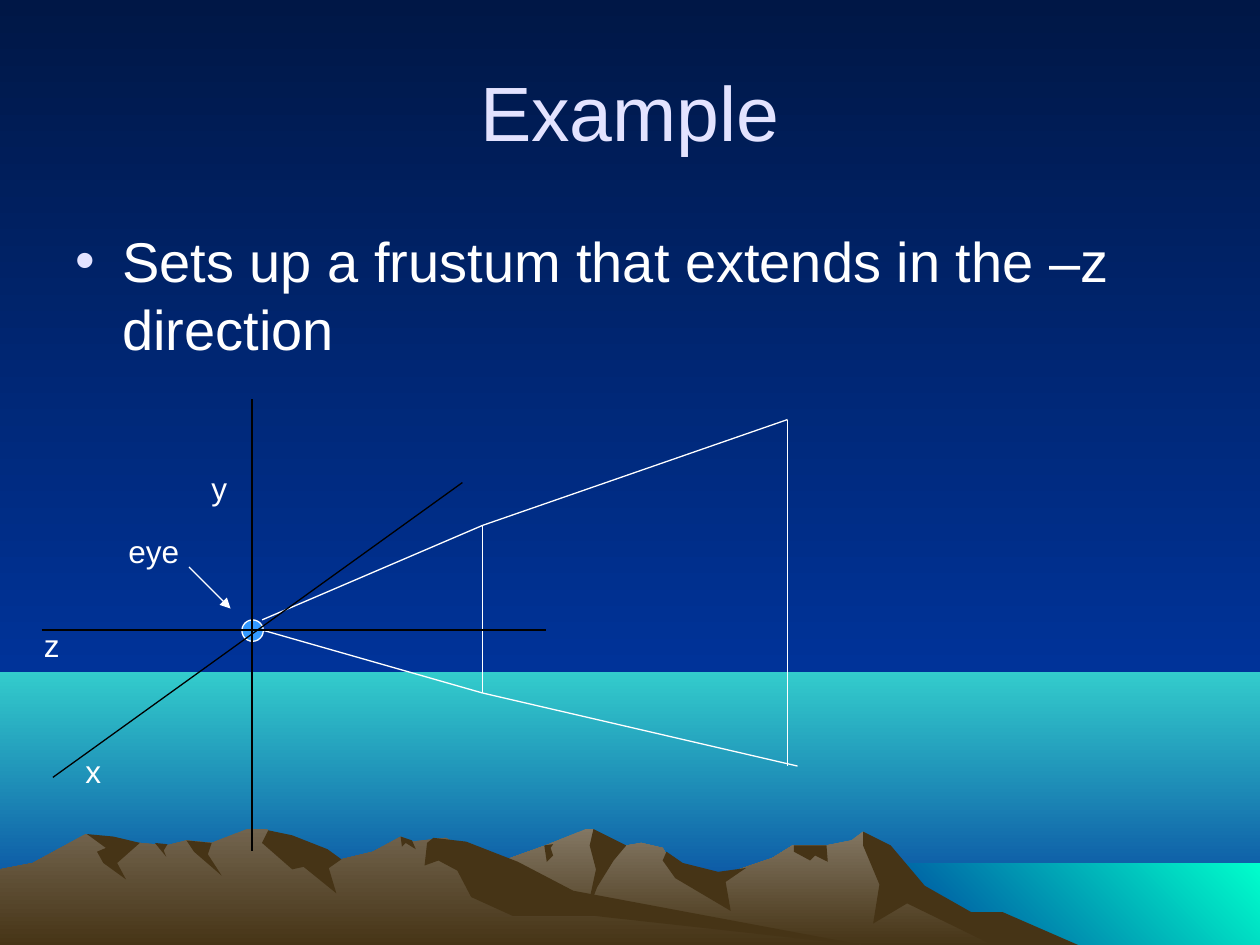
from lxml.etree import SubElement
from pptx import Presentation
from pptx.dml.color import RGBColor
from pptx.enum.shapes import MSO_CONNECTOR, MSO_SHAPE
from pptx.enum.text import MSO_ANCHOR as Anchor, MSO_AUTO_SIZE as AutoSize, PP_ALIGN as Align
from pptx.oxml.ns import qn
from pptx.util import Cm, Pt

GRID = Cm(0.0254)  # all coordinates below count in this step
WIDTH, HEIGHT = 1000, 750
HORIZON, GROUND = 533, 751
DOWNWARD, FROM_TOP_RIGHT = 270, 225  # gradient angles
THIN = Pt(0.75)

NIGHT = RGBColor(0x00, 0x17, 0x46)
BLUE = RGBColor(0x00, 0x33, 0x99)
SEA = RGBColor(0x33, 0xCC, 0xCC)
LAGOON = RGBColor(0x00, 0xFF, 0xCC)
ROCK_FAR = RGBColor(0x83, 0x77, 0x63)
ROCK_NEAR = RGBColor(0x72, 0x64, 0x4E)
SHADE = RGBColor(0x46, 0x34, 0x16)
LAVENDER = RGBColor(0xE3, 0xE3, 0xFF)
EYE_BLUE = RGBColor(0x33, 0x99, 0xFF)
WHITE = RGBColor(0xFF, 0xFF, 0xFF)
BLACK = RGBColor(0x00, 0x00, 0x00)


def paint(fill, colors, angle=DOWNWARD):
    """One colour fills solid; two make a gradient."""
    if len(colors) == 1:
        fill.solid()
        fill.fore_color.rgb = colors[0]
        return
    fill.gradient()
    fill.gradient_angle = angle
    for stop, color in zip(fill.gradient_stops, colors):
        stop.color.rgb = color


def write(frame, text, size, color, paragraph_format):
    frame.word_wrap = True
    frame.text = text
    paragraph = frame.paragraphs[0]
    font = paragraph.runs[0].font
    font.color.rgb = color
    for target, values in [(paragraph, paragraph_format),
                           (font, {"name": "Arial", "size": Pt(size)})]:
        for name, value in values.items():
            setattr(target, name, value)
    return paragraph


presentation = Presentation()
presentation.slide_width, presentation.slide_height = GRID * WIDTH, GRID * HEIGHT
slide = presentation.slides.add_slide(presentation.slide_layouts[1])
shapes = slide.shapes
paint(slide.background.fill, [NIGHT, BLUE])

# Bands of sea, sky and lagoon: left, top and bottom; each reaches the right edge
bands = [
    (0, HORIZON, HEIGHT, [SEA, BLUE], DOWNWARD),
    (0, 0, HORIZON, [NIGHT, BLUE], DOWNWARD),
    (683, 685, 752, [LAGOON, BLUE], FROM_TOP_RIGHT),
]
landscape = []
for left, top, bottom, colors, angle in bands:
    corners = [(left, top), (WIDTH, top), (WIDTH, bottom), (left, bottom)]
    landscape.append((corners, colors, angle))

# A ridge is a skyline from left to right that stands on the ground.
# Each peak casts one shadow, which starts at its top.
far_skyline = [(327, 709), (394, 685), (433, 671), (465, 658), (471, 658), (486, 673),
               (509, 669), (526, 673), (536, 690), (566, 697), (613, 681), (629, 671),
               (656, 671), (676, 667), (685, 660), (702, 671), (723, 698), (764, 723)]
far_shadows = {
    "right peak": [(685, 660), (707, 671), (734, 703), (771, 724), (796, 724), (858, 751),
                   (792, 752), (720, 717), (693, 733), (698, 702), (685, 671)],
    "middle peak": [(471, 658), (497, 671), (487, 683), (474, 704), (465, 727),
                    (473, 690), (468, 671)],
    "saddle": [(529, 676), (542, 685), (570, 692), (592, 689), (576, 700), (580, 723),
               (536, 697), (526, 683)],
    "right notch": [(630, 671), (656, 671), (657, 684), (647, 679), (643, 683), (630, 676)],
    "left notch": [(432, 671), (439, 670), (437, 673), (439, 679), (434, 684)],
}
near_skyline = [(0, 690), (26, 685), (68, 662), (94, 671), (111, 669), (132, 671),
                (148, 667), (168, 669), (196, 658), (212, 658), (236, 681), (271, 682),
                (296, 676), (318, 664), (327, 668), (354, 665), (432, 712), (667, 748)]
near_shadows = {
    "main peak": [(213, 659), (232, 663), (260, 674), (271, 682), (261, 689), (267, 709),
                  (241, 688), (232, 690), (208, 669)],
    "long slope": [(344, 665), (370, 668), (411, 684), (455, 707), (690, 751), (472, 727),
                   (407, 727), (374, 712), (363, 691), (348, 683), (337, 687), (339, 669)],
    "right notch": [(318, 664), (327, 667), (330, 674), (322, 669), (319, 672)],
    "middle notch": [(148, 667), (168, 669), (165, 678), (176, 695), (154, 676)],
    "small notch": [(123, 669), (133, 670), (130, 675), (132, 680)],
    "left peak": [(69, 662), (90, 664), (111, 669), (93, 685), (100, 698), (82, 685),
                  (77, 676), (84, 673)],
}
ridges = [(far_skyline, 258, 821, ROCK_FAR, far_shadows),
          (near_skyline, 0, 690, ROCK_NEAR, near_shadows)]
for skyline, left, right, rock, shadows in ridges:
    outline = [(left, GROUND), *skyline, (right, GROUND)]
    landscape.append((outline, [rock, SHADE], DOWNWARD))
    landscape += [(shadow, [SHADE], None) for shadow in shadows.values()]

for outline, colors, angle in landscape:
    builder = shapes.build_freeform(*outline[0], scale=GRID)
    builder.add_line_segments(outline[1:], close=True)
    shape = builder.convert_to_shape()
    shape.shadow.inherit = False
    shape.line.fill.background()
    paint(shape.fill, colors, angle)

# Title and list, moved in front of the landscape
title, body = shapes.title, slide.placeholders[1]
for placeholder, top, height in [(title, 25, 125), (body, 175, 492)]:
    shapes._spTree.append(placeholder._element)
    placeholder.left, placeholder.top = GRID * 50, GRID * top
    placeholder.width, placeholder.height = GRID * 900, GRID * height
    placeholder.text_frame.auto_size = AutoSize.NONE
title.text_frame.vertical_anchor = Anchor.MIDDLE
write(title.text_frame, "Example", 44, LAVENDER, {"alignment": Align.CENTER})
paragraph = write(body.text_frame, "Sets up a frustum that extends in the –z direction",
                  32, WHITE, {"space_before": Pt(8)})
properties = paragraph._p.get_or_add_pPr()
properties.set("marL", str(GRID * 37))
properties.set("indent", str(GRID * -37))
bullet_color = SubElement(properties, qn("a:buClr"))
SubElement(bullet_color, qn("a:srgbClr"), val=str(LAVENDER))
SubElement(properties, qn("a:buChar"), char="•")

# The eye sits at the origin of the axes
origin_x, origin_y = 200, 500
eye_size, eye_radius = 17, 8
eye = shapes.add_shape(MSO_SHAPE.OVAL, GRID * (origin_x - eye_radius),
                       GRID * (origin_y - eye_radius), GRID * eye_size, GRID * eye_size)
eye.shadow.inherit = False
paint(eye.fill, [EYE_BLUE])
eye.line.color.rgb = WHITE
eye.line.width = THIN

# Rays run from the eye through the near plane to the far plane
eye_right = origin_x + eye_radius
upper_start, lower_start = (eye_right, origin_y - eye_radius), (eye_right, origin_y)
near_top, near_bottom = (383, 417), (383, 550)
far_top, far_bottom = (625, 333), (625, 608)
lower_ray_end = (633, 608)
frustum = [
    (upper_start, near_top), (lower_start, near_bottom), (near_top, near_bottom),
    (near_top, far_top), (near_bottom, lower_ray_end), (far_top, far_bottom),
]
y_axis = ((origin_x, 317), (origin_x, 675))
z_axis = ((33, origin_y), (433, origin_y))
x_axis = ((42, 617), (367, 383))
eye_pointer = ((150, 450), (183, 483))
for color, lines in [(WHITE, frustum), (BLACK, [y_axis, z_axis, x_axis]), (WHITE, [eye_pointer])]:
    for start, end in lines:
        connector = shapes.add_connector(MSO_CONNECTOR.STRAIGHT,
                                         *[GRID * value for value in start + end])
        connector.line.color.rgb = color
        connector.line.width = THIN
        SubElement(connector._element.spPr, qn("a:effectLst"))
# The pointer is the last line drawn
SubElement(connector.line._get_or_add_ln(), qn("a:tailEnd"), type="triangle")

labels = [("x", 58, 592, 42), ("y", 158, 367, 25), ("z", 25, 492, 42), ("eye", 92, 417, 67)]
for text, left, top, width in labels:
    box = shapes.add_textbox(GRID * left, GRID * top, GRID * width, GRID * 40)
    write(box.text_frame, text, 18, WHITE, {"space_before": Pt(11.2)})
    box.text_frame.auto_size = AutoSize.SHAPE_TO_FIT_TEXT

presentation.save("out.pptx")
